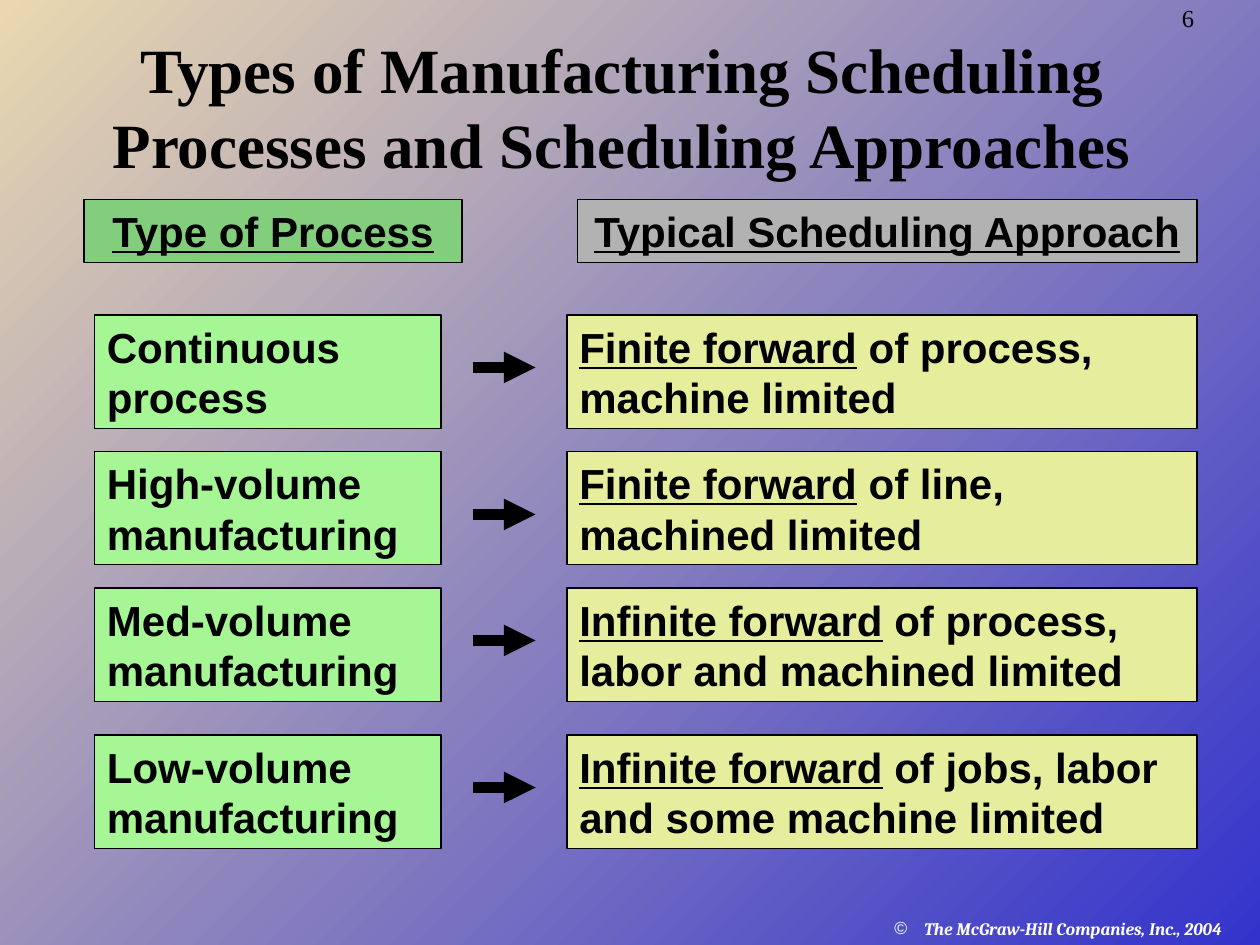
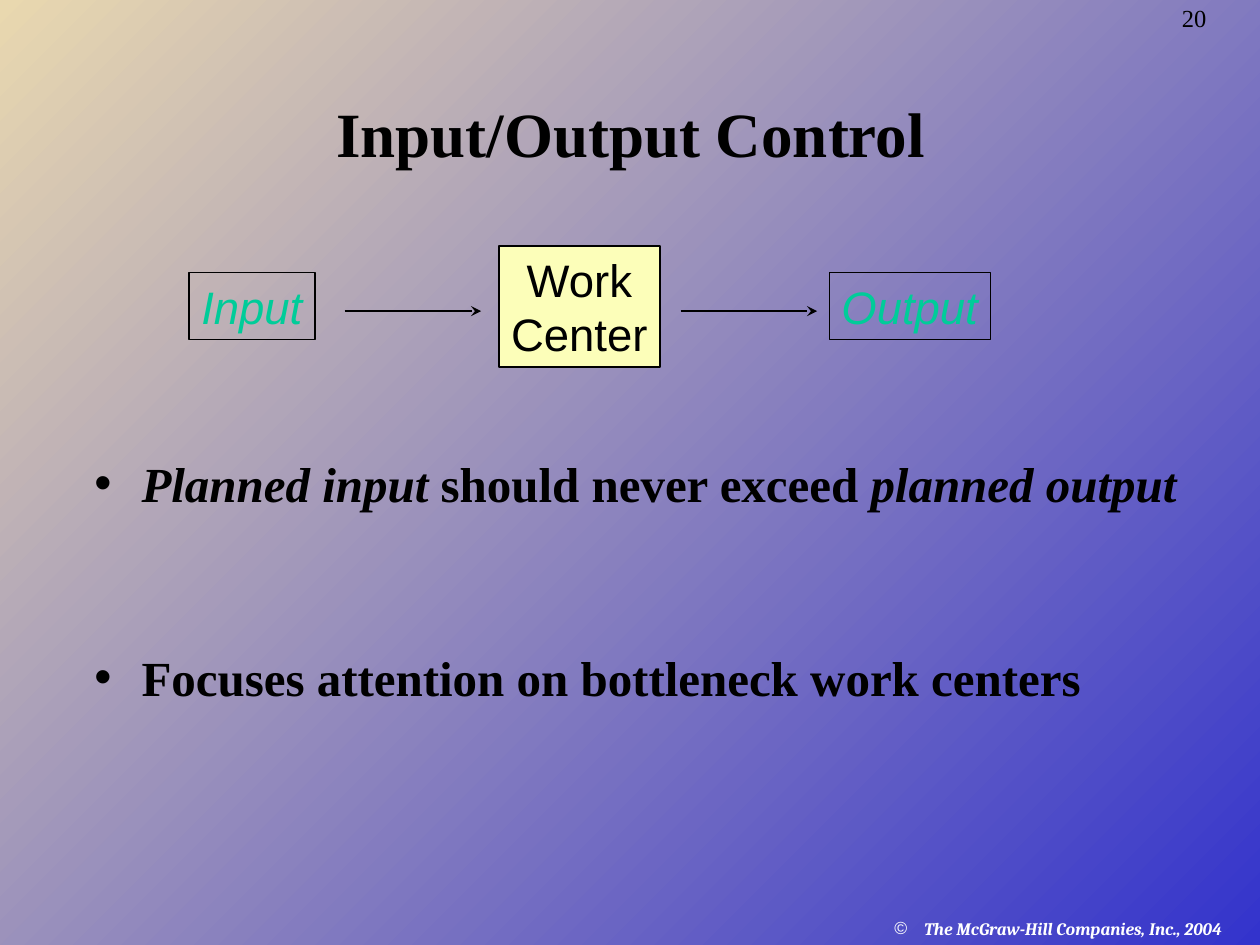
"""Builds two slides on manufacturing scheduling and input/output control."""
from lxml import etree
from pptx import Presentation
from pptx import util as u
from pptx.dml import color
from pptx.enum import shapes, text
from pptx.oxml import ns

COLORS = {"blue": "3333CC", "sand": "E9D8AF", "black": "000000", "white": "FFFFFF",
          "green": "82CE7C", "light_green": "A6F695", "gray": "B2B2B2",
          "yellow": "E6EE9E", "cream": "FCFEB9", "teal": "00CC99"}
SERIF, SANS = "Times New Roman", "Arial"
TITLE = {"name": SERIF, "size": 36, "bold": True}
NUMBER = {"name": SERIF, "size": 14}
FOOTER = {"name": "Cambria", "size": 10, "bold": True, "italic": True, "color": "white"}
BODY = {"name": SERIF, "size": 28, "bold": True}
CELL = {"name": SANS, "size": 24, "bold": True}
HEADING = {**CELL, "underline": True}
NODE = {"name": SANS, "size": 26}
FLOW_END = {**NODE, "italic": True, "color": "teal"}
CENTER = {"alignment": text.PP_ALIGN.CENTER}
BULLETED = {"space_after": u.Pt(70)}

PROCESSES = [
    (180, 210, ["Continuous", "process"], "Finite forward", " of process, machine limited"),
    (258, 294, ["High-volume manufacturing"], "Finite forward", " of line, machined limited"),
    (336, 366, ["Med-volume manufacturing"], "Infinite forward",
     " of process, labor and machined limited"),
    (420, 450, ["Low-volume manufacturing"], "Infinite forward",
     " of jobs, labor and some machine limited"),
]


def rgb(name):
    return color.RGBColor.from_string(COLORS[name])


def set_attrs(obj, values):
    for key, value in values.items():
        setattr(obj, key, value)


def add_bullet(p, char, tint, indent):
    pPr = p._p.get_or_add_pPr()
    pPr.set("marL", str(u.Pt(indent)))
    pPr.set("indent", str(-u.Pt(indent)))
    clr = etree.SubElement(pPr, ns.qn("a:buClr"))
    etree.SubElement(clr, ns.qn("a:srgbClr"), val=COLORS[tint])
    etree.SubElement(pPr, ns.qn("a:buFont"), typeface=SANS)
    etree.SubElement(pPr, ns.qn("a:buChar"), char=char)


def write(sp, paras, fmt, layout=None, wrap=True, anchor="TOP", bullet=None):
    tf = sp.text_frame
    set_attrs(tf, {"word_wrap": wrap, "vertical_anchor": text.MSO_ANCHOR[anchor],
                   "margin_left": u.Pt(7.2), "margin_right": u.Pt(7.2),
                   "margin_top": u.Pt(3.6), "margin_bottom": u.Pt(3.6)})
    for i, runs in enumerate(paras):
        p = tf.add_paragraph() if i else tf.paragraphs[0]
        if bullet:
            add_bullet(p, *bullet)
        set_attrs(p, {"alignment": text.PP_ALIGN.LEFT, **(layout or {})})
        for words, extra in [(runs, {})] if isinstance(runs, str) else runs:
            r = p.add_run()
            r.text = words
            values = {"color": "black", **fmt, **extra}
            r.font.color.rgb = rgb(values.pop("color"))
            set_attrs(r.font, {**values, "size": u.Pt(values["size"])})


def add_text(s, box, paras, fmt, **options):
    sp = s.shapes.add_textbox(*map(u.Pt, box))
    write(sp, paras, fmt, **options)
    return sp


def add_box(s, box, paras, fmt, fill=None, line=0.75, **options):
    sp = s.shapes.add_shape(shapes.MSO_SHAPE.RECTANGLE, *map(u.Pt, box))
    sp.shadow.inherit = False
    if fill:
        sp.fill.solid()
        sp.fill.fore_color.rgb = rgb(fill)
    else:
        sp.fill.background()
    sp.line.color.rgb = rgb("black")
    sp.line.width = u.Pt(line)
    write(sp, paras, fmt, **options)


def add_arrow(s, x, y, length, width, head):
    cx = s.shapes.add_connector(shapes.MSO_CONNECTOR.STRAIGHT,
                                *map(u.Pt, (x, y, x + length, y)))
    cx.line.color.rgb = rgb("black")
    cx.line.width = u.Pt(width)
    etree.SubElement(cx.line._get_or_add_ln(), ns.qn("a:tailEnd"), type=head)
    etree.SubElement(cx._element.spPr, ns.qn("a:effectLst"))


def set_background(master):
    fill = master.background.fill
    fill.gradient()
    fill.gradient_angle = 135
    for stop, name, position in zip(fill.gradient_stops, ("blue", "sand"), (0, 1)):
        stop.color.rgb = rgb(name)
        stop.position = position


def add_slide(prs, number, title, title_box):
    s = prs.slides.add_slide(prs.slide_layouts[6])
    add_text(s, (504, 521.3, 216, 31), ["The McGraw-Hill Companies, Inc., 2004"], FOOTER,
             bullet=("©", "white", 17))
    add_text(s, (668.2, 0, 51, 22), [number], NUMBER, layout={"line_spacing": 0.9})
    add_text(s, title_box, [title], TITLE, layout=CENTER, anchor="BOTTOM")
    return s


def add_process_rows(s, box):
    left, top, width, row_h = box
    process_w, approach_w = 198, 360
    for y, arrow_y, process, approach, limits in PROCESSES:
        add_box(s, (left, top + y - 180, process_w, row_h), process, CELL, "light_green")
        add_box(s, (left + width - approach_w, top + y - 180, approach_w, row_h),
                [[(approach, {"underline": True}), (limits, {})]], CELL, "yellow")
        add_arrow(s, left + process_w + 18, top + arrow_y - 180, 36, 6, "triangle")


def add_flow(s, box):
    left, top, width, height = box
    end_h, center_w, output_w = 38.2, 92.2, 92.2
    end_y = top + (height - end_h) / 2
    middle = top + height / 2 + 2.8
    add_box(s, (left, end_y, 72, end_h), ["Input"], FLOW_END, layout=CENTER, wrap=False)
    add_box(s, (left + width - output_w, end_y, output_w, end_h), ["Output"], FLOW_END,
            layout=CENTER, wrap=False)
    add_box(s, (left + 177, top, center_w, height), ["Work", "Center"], NODE, "cream", 1,
            layout=CENTER, wrap=False)
    for offset in (89, 281):
        add_arrow(s, left + offset, middle, 78, 1, "stealth")


def build_types_slide(prs):
    s = add_slide(prs, "6", "Types of Manufacturing Scheduling Processes and "
                  "Scheduling Approaches", (32.4, 18, 645.8, 89.3))
    add_box(s, (48, 114, 216, 36), ["Type of Process"], HEADING, "green", layout=CENTER)
    add_box(s, (330, 114, 354, 36), ["Typical Scheduling Approach"], HEADING, "gray",
            layout=CENTER)
    add_process_rows(s, (54, 180, 630, 64.8))


def build_control_slide(prs):
    s = add_slide(prs, "20", "Input/Output Control", (14.4, 41.8, 691.9, 59))
    add_flow(s, (108, 140.4, 458, 69.2))
    slanted = {"italic": True}
    points = [[("Planned input", slanted), (" should never exceed ", {}),
               ("planned output", slanted)],
              "Focuses attention on bottleneck work centers"]
    body = add_text(s, (46.8, 255.6, 643, 208), points, BODY, layout=BULLETED,
                    bullet=("•", "black", 27))
    body.text_frame.paragraphs[1].space_before = u.Pt(7)


def main():
    prs = Presentation()
    set_attrs(prs, {"slide_width": u.Pt(720), "slide_height": u.Pt(540)})
    set_background(prs.slide_master)
    build_types_slide(prs)
    build_control_slide(prs)
    prs.save("out.pptx")


if __name__ == "__main__":
    main()
